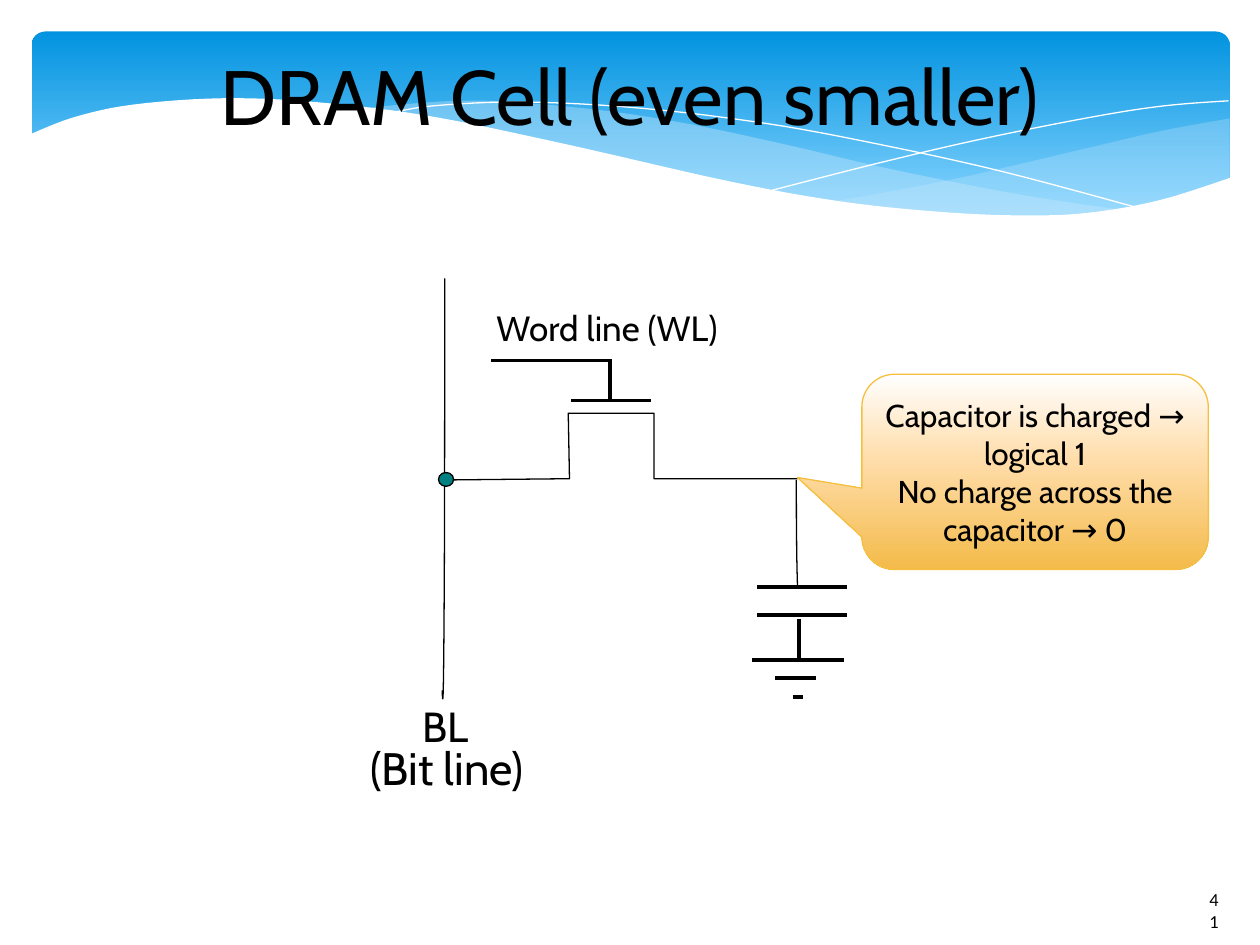
from dataclasses import dataclass

from lxml import etree
from pptx import Presentation
from pptx import util as u
from pptx.dml.color import RGBColor
from pptx.enum import shapes, text
from pptx.oxml import ns


@dataclass(frozen=True)
class Theme:
    """Colours, fonts and type sizes of the deck."""
    ink: str = "000000"
    paper: str = "FFFFFF"
    mist: str = "C6E7FC"
    node: str = "008080"
    callout_edge: str = "F5C040"
    banner: tuple = ((0, "0293E0"), (90, "83D3FE"))
    callout: tuple = ((0, "FFFFFF"), (44, "FFDDAA"), (100, "F4BB4A"))
    font: str = "Cabin"
    number_font: str = "Calibri"
    title: float = 44
    bit_line: float = 26
    bit_label: float = 24
    word_line: float = 20
    note: float = 18
    number: float = 10.5


def bezier(start, control, second, end, steps=24):
    """Sample a cubic curve."""
    return [tuple((1 - t) ** 3 * a + 3 * t * (1 - t) ** 2 * b
                  + 3 * t * t * (1 - t) * c + t ** 3 * d
                  for a, b, c, d in zip(start, control, second, end))
            for t in (step / steps for step in range(steps + 1))]


def smooth(knots):
    """Pass a smooth curve through the knots."""
    padded = [knots[0], *knots, knots[-1]]
    curve = [knots[0]]
    for before, start, end, after in zip(padded, padded[1:], padded[2:], padded[3:]):
        leave = [s + (e - b) / 6 for b, s, e in zip(before, start, end)]
        arrive = [e - (a - s) / 6 for s, e, a in zip(start, end, after)]
        curve += bezier(start, leave, arrive, end, 6)[1:]
    return curve


class Sketch:
    """Draws styled elements on a slide with a grid of 10 columns by 7.5 rows."""
    COLUMNS, ROWS = 10, 7.5

    def __init__(self, deck, theme):
        """Start a title-only slide."""
        self.theme = theme
        self.column = deck.slide_width / self.COLUMNS
        self.row = deck.slide_height / self.ROWS
        self.slide = deck.slides.add_slide(deck.slide_layouts[5])
        self.shapes = self.slide.shapes

    def place(self, column, row):
        """Turn grid units into lengths."""
        return u.Emu(round(column * self.column)), u.Emu(round(row * self.row))

    def box(self, left, top, width, height):
        """Turn a grid box into lengths."""
        return self.place(left, top) + self.place(width, height)

    def paint(self, item, fill=None, line=None, weight=0, alpha=None):
        """Set fill, outline and transparency, without shadow."""
        item.shadow.inherit = False
        if isinstance(fill, tuple):
            item.fill.gradient()
            item.fill.gradient_angle = 270
            stops = item._element.spPr.find(".//" + ns.qn("a:gsLst"))
            for old in list(stops):
                stops.remove(old)
            for share, colour in fill:
                stop = etree.SubElement(stops, ns.qn("a:gs"), pos=str(share * 1000))
                etree.SubElement(stop, ns.qn("a:srgbClr"), val=colour)
        elif fill:
            item.fill.solid()
            item.fill.fore_color.rgb = RGBColor.from_string(fill)
            if alpha:
                colour = item._element.spPr.find(".//" + ns.qn("a:srgbClr"))
                etree.SubElement(colour, ns.qn("a:alpha"), val=str(alpha * 1000))
        else:
            item.fill.background()
        if line:
            item.line.color.rgb = RGBColor.from_string(line)
            item.line.width = u.Pt(weight)
        else:
            item.line.fill.background()

    def set_text(self, frame, lines, size, font=None, align=text.PP_ALIGN.LEFT,
                 anchor=text.MSO_ANCHOR.TOP, wrap=True):
        """Fill a text frame, one paragraph a line."""
        frame.auto_size = text.MSO_AUTO_SIZE.NONE
        frame.word_wrap = wrap
        frame.vertical_anchor = anchor
        for index, line in enumerate(lines):
            paragraph = frame.add_paragraph() if index else frame.paragraphs[0]
            paragraph.alignment = align
            run = paragraph.add_run()
            run.text = line
            run.font.size = u.Pt(size)
            run.font.name = font or self.theme.font
            run.font.color.rgb = RGBColor.from_string(self.theme.ink)

    def title(self, words, *box):
        """Format the title and bring it in front of the banner."""
        title = self.shapes.title
        title.left, title.top, title.width, title.height = self.box(*box)
        title._element.getparent().append(title._element)
        self.set_text(title.text_frame, [words], self.theme.title,
                      align=text.PP_ALIGN.CENTER, anchor=text.MSO_ANCHOR.MIDDLE)

    def label(self, words, size, *box):
        """Add a tight one-line label."""
        frame = self.shapes.add_textbox(*self.box(*box)).text_frame
        frame.margin_left = frame.margin_right = frame.margin_top = frame.margin_bottom = 0
        self.set_text(frame, [words], size, wrap=False)

    def number(self, words, *box):
        """Add the page number on a plain ground."""
        number = self.shapes.add_textbox(*self.box(*box))
        self.paint(number, self.theme.paper)
        self.set_text(number.text_frame, [words], self.theme.number, self.theme.number_font)

    def preset(self, kind, box, adjust=(), **style):
        """Add a preset shape."""
        item = self.shapes.add_shape(kind, *self.box(*box))
        for index, value in enumerate(adjust):
            item.adjustments[index] = value
        self.paint(item, **style)
        return item

    def outline(self, points, close=False, **style):
        """Add a freeform through the points."""
        start, *rest = [self.place(*point) for point in points]
        builder = self.shapes.build_freeform(*start, scale=1.0)
        builder.add_line_segments(rest, close=close)
        self.paint(builder.convert_to_shape(), **style)

    def wire(self, start, end):
        """Add a straight hairline."""
        wire = self.shapes.add_connector(shapes.MSO_CONNECTOR.STRAIGHT,
                                         *self.place(*start), *self.place(*end))
        wire.line.color.rgb = RGBColor.from_string(self.theme.ink)
        wire.line.width = u.Pt(0)
        etree.SubElement(wire._element.spPr, ns.qn("a:effectLst"))


def draw_banner(sketch):
    """Draw the blue banner with its waves."""
    theme = sketch.theme
    sketch.preset(shapes.MSO_SHAPE.ROUNDED_RECTANGLE, (0.25, 0.25, 9.51, 1.56),
                  [0.071], fill=theme.banner)
    right_wave = (smooth([(9.76, 0.94), (9.21, 1.04), (8.61, 1.18), (7.53, 1.43), (6.61, 1.6)])
                  + smooth([(6.61, 1.6), (7.19, 1.67), (7.81, 1.72), (8.35, 1.72),
                            (8.89, 1.66), (9.35, 1.56), (9.76, 1.41)]))
    middle_wave = (smooth([(8.93, 1.67), (8.07, 1.54), (7.06, 1.34), (6.29, 1.16),
                           (5.55, 1), (4.89, 0.89), (4.2, 0.82), (3.61, 0.8), (2.86, 0.86)])
                   + smooth([(2.86, 0.86), (3.62, 0.97), (4.49, 1.16), (5.66, 1.43),
                             (6.65, 1.61), (7.48, 1.7), (8.18, 1.73), (8.93, 1.67)]))
    for wave, alpha in ((right_wave, 29), (middle_wave, 40)):
        sketch.outline(wave, close=True, fill=theme.mist, alpha=alpha)
    falling = [(3.09, 0.9), (3.44, 0.84), (4.16, 0.81), (5.1, 0.86), (6.08, 0.98),
               (6.95, 1.14), (7.95, 1.36), (9.07, 1.66)]
    rising = [(6.13, 1.51), (6.95, 1.3), (7.76, 1.11), (8.66, 0.93), (9.24, 0.84), (9.75, 0.8)]
    for strand in (falling, rising):
        sketch.outline(smooth(strand), line=theme.paper)
    lower_edge = smooth([(9.77, 1.41), (9.2, 1.59), (8.63, 1.69), (8.09, 1.71), (7.44, 1.68),
                         (6.68, 1.6), (5.79, 1.44), (4.47, 1.14), (3.4, 0.92), (2.5, 0.81),
                         (1.77, 0.78), (1.06, 0.83), (0.59, 0.93), (0.23, 1.07)])
    sketch.outline(lower_edge + [(0.23, 2.24), (9.77, 2.24)], close=True, fill=theme.paper)


def draw_cell(sketch):
    """Draw the transistor, the lines and the capacitor."""
    theme = sketch.theme
    sketch.outline([(6.33, 3.8), (5.19, 3.8), (5.19, 3.28), (4.51, 3.28),
                    (4.52, 3.8), (3.52, 3.81)], line=theme.ink)
    sketch.outline(bezier((3.53, 2.21), (3.53, 6.3), (3.51, 5.48), (3.51, 5.48)), line=theme.ink)
    sketch.outline(bezier((6.32, 3.81), (6.32, 4.45), (6.33, 4.66), (6.33, 4.66)), line=theme.ink)
    for left, right, level in ((4.53, 5.17, 3.18), (3.9, 4.86, 2.86), (6.01, 6.72, 4.66),
                               (6.01, 6.72, 4.88), (5.97, 6.7, 5.24), (6.15, 6.48, 5.38),
                               (6.29, 6.37, 5.53)):
        sketch.wire((left, level), (right, level))
    for across, top, bottom in ((4.84, 2.86, 3.17), (6.34, 4.91, 5.22)):
        sketch.wire((across, top), (across, bottom))
    sketch.preset(shapes.MSO_SHAPE.OVAL, (3.48, 3.75, 0.12, 0.11), fill=theme.node, line=theme.ink)
    sketch.label("Word line (WL)", theme.word_line, 3.94, 2.43, 1.97, 0.37)
    sketch.label("BL", theme.bit_label, 3.35, 5.56, 0.55, 0.44)
    sketch.label("(Bit line)", theme.bit_line, 2.94, 5.87, 1.48, 0.48)


def main():
    """Build and save the slide."""
    deck = Presentation()
    deck.slide_width, deck.slide_height = u.Inches(10), u.Inches(7.5)
    theme = Theme()
    sketch = Sketch(deck, theme)
    draw_banner(sketch)
    sketch.number("41", 9.5, 7, 0.28, 0.28)
    sketch.title("DRAM Cell (even smaller)", 0.25, 0.33, 9.5, 0.84)
    draw_cell(sketch)
    charge = sketch.preset(shapes.MSO_SHAPE.ROUNDED_RECTANGULAR_CALLOUT, (6.84, 2.97, 2.75, 1.55),
                           [-0.686, 0.029, 0.167], fill=theme.callout,
                           line=theme.callout_edge, weight=0.75)
    sketch.set_text(charge.text_frame,
                    ["Capacitor is charged → logical 1", "No charge across the capacitor → 0"],
                    theme.note, align=text.PP_ALIGN.CENTER, anchor=text.MSO_ANCHOR.MIDDLE)
    deck.save("out.pptx")


if __name__ == "__main__":
    main()
